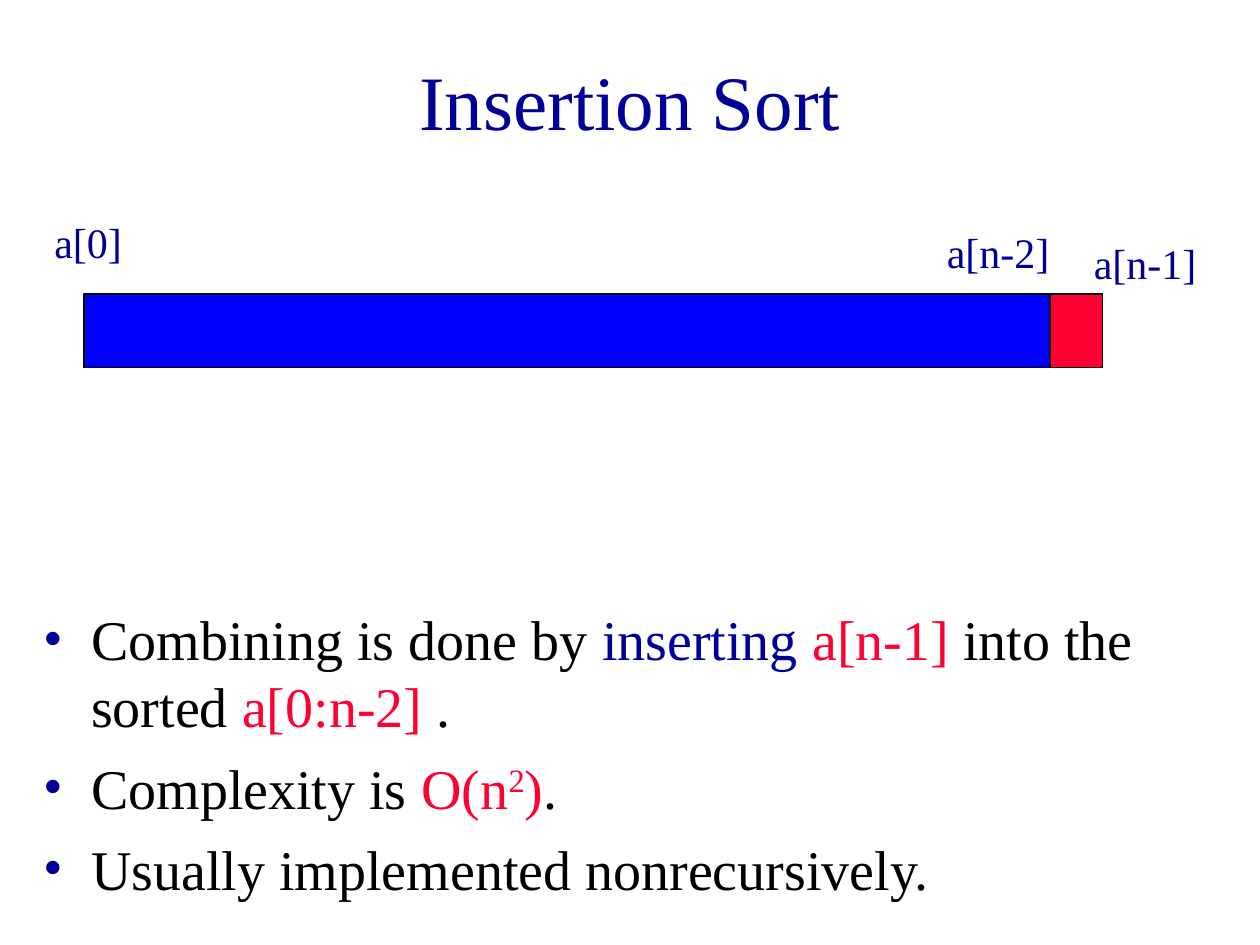
from dataclasses import dataclass

from lxml.etree import SubElement
from pptx import Presentation
from pptx.dml.color import RGBColor
from pptx.enum.shapes import MSO_SHAPE as Shape
from pptx.enum.text import MSO_ANCHOR as Anchor, PP_ALIGN as Align
from pptx.oxml.ns import qn
from pptx.slide import Slide
from pptx.util import Inches, Pt

NAVY = RGBColor(0x00, 0x00, 0x99)
BLUE = RGBColor(0x00, 0x00, 0xFF)
RED = RGBColor(0xFF, 0x00, 0x33)
BLACK = RGBColor(0x00, 0x00, 0x00)

BULLETS = [
    [("Combining is done by ", BLACK), ("inserting ", NAVY), ("a[n-1]", RED),
     (" into the sorted ", BLACK), ("a[0:n-2] ", RED), (".", BLACK)],
    [("Complexity is ", BLACK), ("O(n", RED), ("2", RED, 30000), (")", RED), (".", BLACK)],
    [("Usually implemented nonrecursively.", BLACK)],
]


def apply(target, values):
    """Set every attribute named in values on target."""
    for name, value in values.items():
        setattr(target, name, value)


@dataclass
class SlideBuilder:
    """Draws styled elements on a grid of twelve cells to the inch."""

    slide: Slide
    font: str = "Times New Roman"
    cell: int = Inches(1) // 12

    def box(self, *grid):
        """Convert grid units to lengths."""
        return [round(value * self.cell) for value in grid]

    def frame(self, grid, anchor=Anchor.TOP):
        """Add a wrapping text box and return its text frame."""
        frame = self.slide.shapes.add_textbox(*self.box(*grid)).text_frame
        apply(frame, {"word_wrap": True, "vertical_anchor": anchor})
        return frame

    def run(self, paragraph, text, size, color, baseline=0):
        """Add a styled run, raised when baseline is given."""
        run = paragraph.add_run()
        run.text = text
        apply(run.font, {"name": self.font, "size": Pt(size)})
        run.font.color.rgb = color
        if baseline:
            run.font._element.set("baseline", str(baseline))

    def text(self, text, grid, size, align=Align.LEFT, anchor=Anchor.TOP):
        """Add a single line of navy text."""
        paragraph = self.frame(grid, anchor).paragraphs[0]
        paragraph.alignment = align
        self.run(paragraph, text, size, NAVY)

    def bar(self, grid, color):
        """Add an outlined rectangle."""
        shape = self.slide.shapes.add_shape(Shape.RECTANGLE, *self.box(*grid))
        shape.shadow.inherit = False
        shape.fill.solid()
        shape.fill.fore_color.rgb = color
        shape.line.color.rgb = BLACK
        shape.line.width = Pt(1)

    def bullets(self, items, grid, size, gap):
        """Add a bulleted list of paragraphs with coloured runs."""
        frame = self.frame(grid)
        for index, runs in enumerate(items):
            paragraph = frame.add_paragraph() if index else frame.paragraphs[0]
            properties = paragraph._p.get_or_add_pPr()
            apply(paragraph, {"space_before": Pt(gap if index else 0)})
            indent = Inches(0.375)
            properties.set("marL", str(indent))
            properties.set("indent", str(-indent))
            color = SubElement(properties, qn("a:buClr"))
            SubElement(color, qn("a:srgbClr"), val=str(NAVY))
            SubElement(properties, qn("a:buFont"), typeface=self.font)
            SubElement(properties, qn("a:buChar"), char="•")
            for text, *style in runs:
                self.run(paragraph, text, size, *style)


def main():
    """Build the insertion sort slide."""
    presentation = Presentation()
    apply(presentation, {"slide_width": Inches(10), "slide_height": Inches(7.5)})
    builder = SlideBuilder(presentation.slides.add_slide(presentation.slide_layouts[6]))
    builder.text("Insertion Sort", (9, 2, 102, 15), 44, Align.CENTER, Anchor.MIDDLE)
    builder.bullets(BULLETS, (3, 57, 114, 30), 32, 8)
    for left, width, color in ((8, 92, BLUE), (100, 5, RED)):
        builder.bar((left, 28, width, 7), color)
    for label, left, top in (("a[0]", 4, 20), ("a[n-2]", 89, 21), ("a[n-1]", 103, 22)):
        builder.text(label, (left, top, 13, 6), 24)
    presentation.save("out.pptx")


if __name__ == "__main__":
    main()
